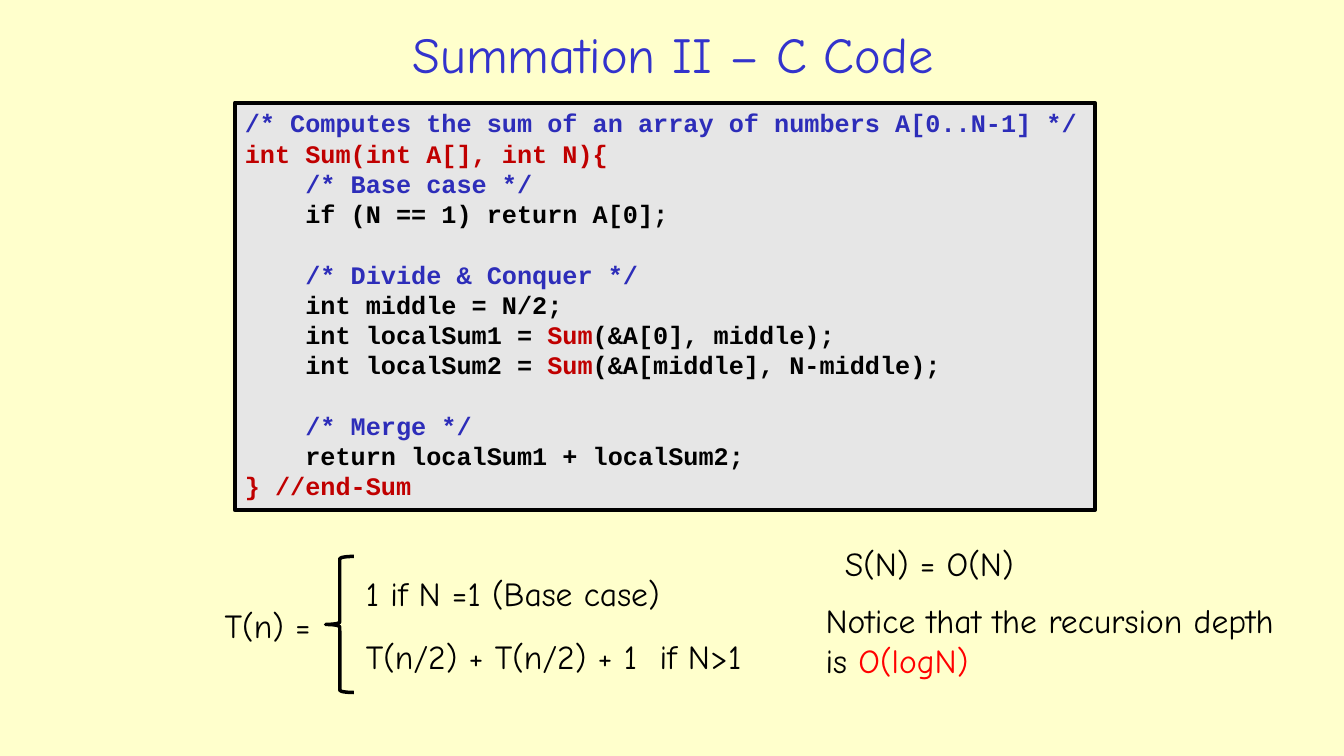
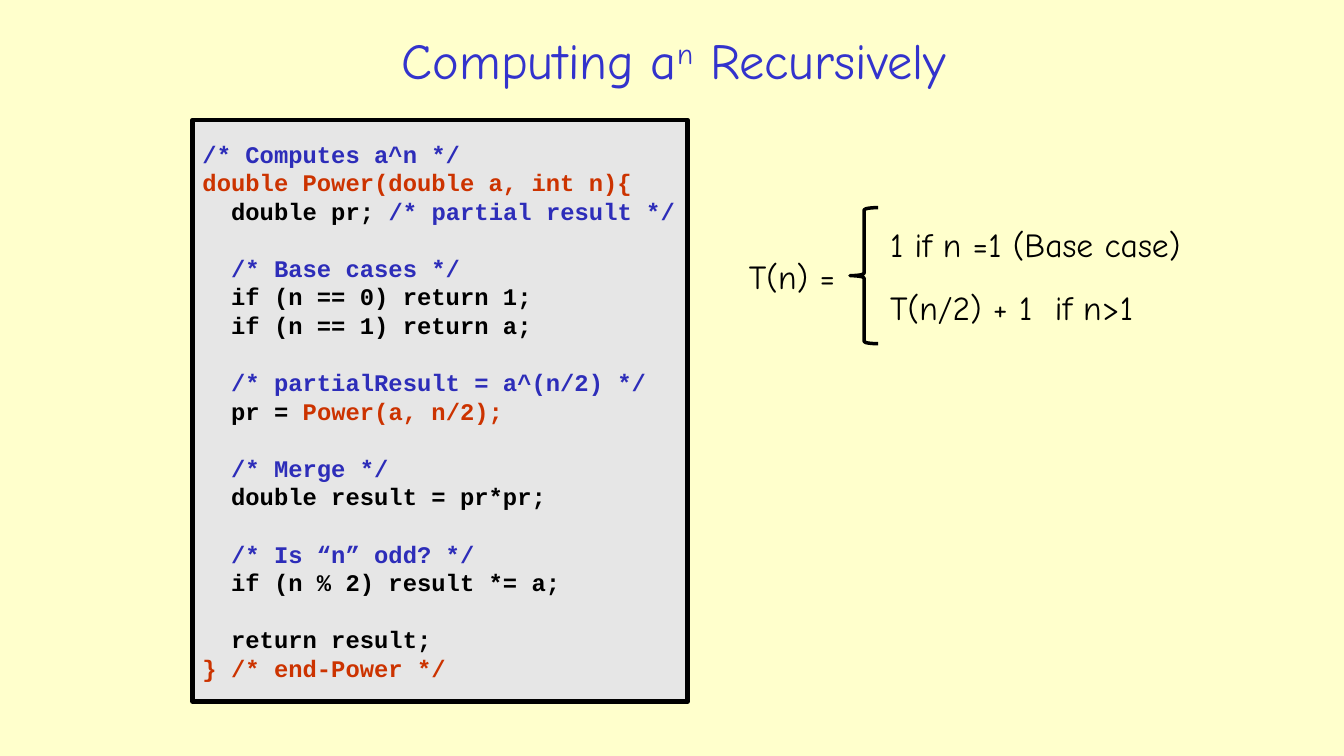
from pptx import Presentation
from pptx import util as u
from pptx.dml.color import RGBColor
from pptx.enum import shapes, text

CREAM = RGBColor(0xFF, 0xFF, 0xCC)
GREY = RGBColor(0xE6, 0xE6, 0xE6)
INDIGO = RGBColor(0x33, 0x33, 0xCC)
BLUE = RGBColor(0x2D, 0x2D, 0xB9)
CRIMSON = RGBColor(0xC0, 0x00, 0x00)
RUST = RGBColor(0xCC, 0x33, 0x00)
RED = RGBColor(0xFF, 0x00, 0x00)
BLACK = RGBColor(0x00, 0x00, 0x00)

HEAD = {"name": "Comic Neue", "size": u.Pt(36), "bold": False}
NOTE = {"name": "Comic Neue", "size": u.Pt(24), "bold": False}
CODE = {"name": "Courier New", "bold": True}

SUM = [
    [("/* Computes the sum of an array of numbers A[0..N-1] */", BLUE)],
    [("int Sum(int A[], int N){", CRIMSON)],
    [("    /* Base case */", BLUE)],
    [("    if (N == 1) return A[0];", BLACK)],
    [("", BLACK)],
    [("    /* Divide & Conquer */", BLUE)],
    [("    int middle = N/2;", BLACK)],
    [("    int localSum1 = ", BLACK), ("Sum", CRIMSON), ("(&A[0], middle);", BLACK)],
    [("    int localSum2 = ", BLACK), ("Sum", CRIMSON), ("(&A[middle], N-middle);", BLACK)],
    [("", BLACK)],
    [("    /* Merge */", BLUE)],
    [("    return localSum1 + localSum2;", BLACK)],
    [("} //end-Sum", CRIMSON)],
]
POWER = [
    [("/* Computes a^n */", BLUE)],
    [("double Power(double a, int n){", RUST)],
    [("  double pr; ", BLACK), ("/* partial result */", BLUE)],
    [("", BLACK)],
    [("  /* Base cases */", BLUE)],
    [("  if (n == 0) return 1;", BLACK)],
    [("  if (n == 1) return a;", BLACK)],
    [("", BLACK)],
    [("  /* partialResult = a^(n/2) */", BLUE)],
    [("  pr = ", BLACK), ("Power(a, n/2);", RUST)],
    [("", BLACK)],
    [("  /* Merge */", BLUE)],
    [("  double result = pr*pr;", BLACK)],
    [("", BLACK)],
    [("  /* Is “n” odd? */", BLUE)],
    [("  if (n % 2) result *= a;", BLACK)],
    [("", BLACK)],
    [("  return result;", BLACK)],
    [("} /* end-Power */", RUST)],
]


def inch(box):
    """Turn a box of numbers into lengths."""
    return [u.Inches(n) for n in box]


def write(para, parts, form):
    """Add coloured runs in one format to a paragraph."""
    for words, color in parts:
        run = para.add_run()
        run.text = words
        for key, val in form.items():
            setattr(run.font, key, val)
        run.font.color.rgb = color


def title(slide, box, words, raised=None):
    """Fill and place the title, raising one part if asked."""
    head = slide.shapes.title
    head.left, head.top, head.width, head.height = inch(box)
    frame = head.text_frame
    frame.auto_size = text.MSO_AUTO_SIZE.NONE
    frame.vertical_anchor = text.MSO_ANCHOR.MIDDLE
    para = frame.paragraphs[0]
    para.alignment = text.PP_ALIGN.CENTER
    write(para, [(word, INDIGO) for word in words], HEAD)
    if raised is not None:
        para.runs[raised].font._element.set("baseline", "30000")


def outline(shape, width):
    """Give a shape a plain black line and no shadow."""
    shape.shadow.inherit = False
    shape.line.color.rgb = BLACK
    shape.line.width = u.Pt(width)


def listing(slide, box, lines, size, anchor, wrap):
    """Draw a framed code listing."""
    panel = slide.shapes.add_shape(shapes.MSO_SHAPE.RECTANGLE, *inch(box))
    outline(panel, 3)
    panel.fill.solid()
    panel.fill.fore_color.rgb = GREY
    frame = panel.text_frame
    frame.word_wrap = wrap
    frame.vertical_anchor = anchor
    for row, parts in enumerate(lines):
        para = frame.add_paragraph() if row else frame.paragraphs[0]
        para.alignment = text.PP_ALIGN.LEFT
        write(para, parts, {**CODE, "size": u.Pt(size)})


def note(slide, box, *parts):
    """Place a text box of coloured parts."""
    frame = slide.shapes.add_textbox(*inch(box)).text_frame
    frame.word_wrap = True
    write(frame.paragraphs[0], parts, NOTE)


def formula(slide, left, top, cases):
    """Draw T(n) with a brace at the given corner and its cases."""
    note(slide, (left - 1.1, top + 0.43, 1.19, 0.54), ("T(n) =", BLACK))
    brace = slide.shapes.add_shape(
        shapes.MSO_SHAPE.LEFT_BRACE, *inch((left, top, 0.28, 1.35)))
    brace.adjustments[0] = 0.08
    brace.fill.background()
    outline(brace, 2.5)
    for row, case in enumerate(cases):
        spot = (left + 0.3, top + 0.11 + 0.63 * row, 4.55, 0.54)
        note(slide, spot, (case, BLACK))


def summing(slide):
    """Build the summation slide."""
    title(slide, (1.84, 0.15, 9.67, 0.76), ["Summation II – C Code"])
    listing(slide, (2.33, 1.02, 8.53, 4.04), SUM, 18, text.MSO_ANCHOR.TOP, True)
    formula(slide, 3.23, 5.52,
            ["1 if N =1 (Base case)", "T(n/2) + T(n/2) + 1  if N>1"])
    note(slide, (8.28, 5.34, 2.89, 0.54), ("S(N) = O(N)", BLACK))
    note(slide, (8.09, 5.9, 4.64, 0.91),
         ("Notice that the recursion depth is ", BLACK), ("O(logN)", RED))


def raising(slide):
    """Build the power slide."""
    title(slide, (1.9, 0.24, 9.57, 0.7), ["Computing a", "n", " Recursively"], 1)
    listing(slide, (1.91, 1.19, 4.91, 5.77), POWER, 17, text.MSO_ANCHOR.MIDDLE, False)
    formula(slide, 8.43, 2.06, ["1 if n =1 (Base case)", "T(n/2) + 1  if n>1"])


def main():
    """Build and save the deck."""
    deck = Presentation()
    deck.slide_width, deck.slide_height = inch((13.33, 7.5))
    back = deck.slide_master.background.fill
    back.solid()
    back.fore_color.rgb = CREAM
    for build in (summing, raising):
        build(deck.slides.add_slide(deck.slide_layouts[5]))
    deck.save("out.pptx")


if __name__ == "__main__":
    main()
